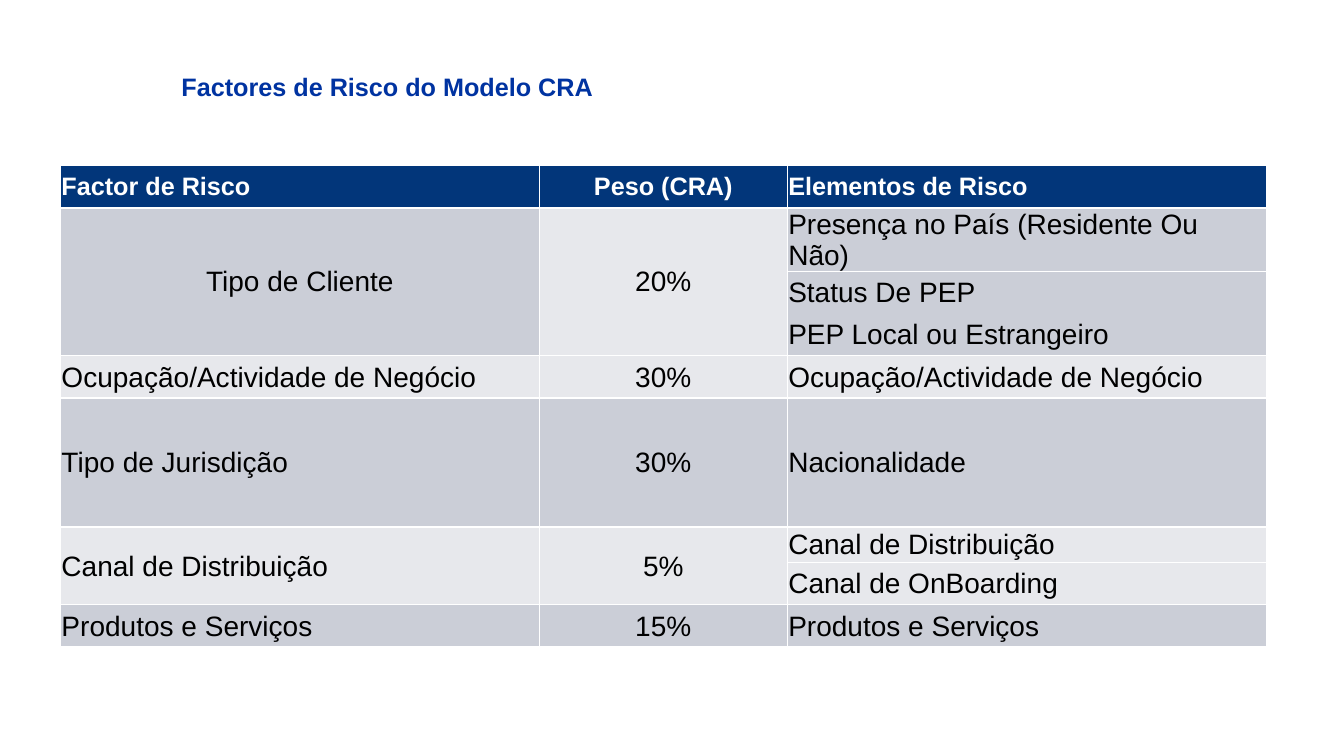
from dataclasses import dataclass

from lxml.etree import SubElement
from pptx import Presentation
from pptx.dml.color import RGBColor
from pptx.enum.text import MSO_ANCHOR as Anchor, PP_ALIGN as Align
from pptx.oxml.ns import qn
from pptx.util import Emu, Inches, Pt

COLOURS = {
    "title": "0033A1",
    "header": "02367A",
    "dark": "CBCED7",
    "light": "E7E8EC",
    "white": "FFFFFF",
    "black": "000000",
}
SLIDE_WIDTH, SLIDE_HEIGHT = Inches(13.33), Inches(7.5)
COLUMN_SHARES = (0.3563, 0.1845, 0.3563)
ROW_SHARE = 0.056
HEADINGS = ("Factor de Risco", "Peso (CRA)", "Elementos de Risco")
HEADER_FONT = {"name": "Arial", "size": Pt(18), "bold": True}
BODY_FONT = {"name": "Arial", "size": Pt(20), "bold": False}
CELL_FORMAT = {
    "vertical_anchor": Anchor.MIDDLE,
    "margin_left": Inches(0.01),
    "margin_top": Inches(0.01),
    "margin_right": Inches(0.01),
    "margin_bottom": 0,
}
GRID = {"L": 1, "R": 1, "T": 1, "B": 1}


@dataclass
class Element:
    name: str
    height: float = ROW_SHARE
    open_sides: str = ""


@dataclass
class Factor:
    name: str
    weight: str
    elements: list[Element]
    name_align: Align = Align.LEFT
    weight_fill: str = ""


FACTORS = [
    Factor("Tipo de Cliente", "20%", [
        Element("Presença no País (Residente Ou Não)"),
        Element("Status De PEP", open_sides="RB"),
        Element("PEP Local ou Estrangeiro", open_sides="RT"),
    ], Align.CENTER, "light"),
    Factor("Ocupação/Actividade de Negócio", "30%",
           [Element("Ocupação/Actividade de Negócio")]),
    Factor("Tipo de Jurisdição", "30%",
           [Element("Nacionalidade", 0.1707, "R")]),
    Factor("Canal de Distribuição", "5%", [
        Element("Canal de Distribuição", 0.0467),
        Element("Canal de OnBoarding"),
    ]),
    Factor("Produtos e Serviços", "15%", [Element("Produtos e Serviços")]),
]


def across(share: float) -> Emu:
    return Emu(round(SLIDE_WIDTH * share))


def down(share: float) -> Emu:
    return Emu(round(SLIDE_HEIGHT * share))


def apply(target, values: dict) -> None:
    for attribute, value in values.items():
        setattr(target, attribute, value)


def write(frame, text: str, font: dict, colour: str, align: Align) -> None:
    paragraph = frame.paragraphs[0]
    paragraph.alignment = align
    run = paragraph.add_run()
    run.text = text
    apply(run.font, font)
    run.font.color.rgb = RGBColor.from_string(COLOURS[colour])


def style_cell(cell, fill: str, borders: dict) -> None:
    """Fill a cell and rule its sides; a side of width 0 stays open."""
    apply(cell, CELL_FORMAT)
    properties = cell._tc.get_or_add_tcPr()
    for side, width in borders.items():
        line = SubElement(properties, qn(f"a:ln{side}"), w=str(Pt(width)))
        if width:
            solid = SubElement(line, qn("a:solidFill"))
            SubElement(solid, qn("a:srgbClr"), val=COLOURS["white"])
        else:
            SubElement(line, qn("a:noFill"))
    cell.fill.solid()
    cell.fill.fore_color.rgb = RGBColor.from_string(COLOURS[fill])


def add_title(slide) -> None:
    title = slide.shapes.title
    apply(title, {"left": across(0.1275), "top": down(0.0867),
                  "width": across(0.74), "height": down(0.0547)})
    apply(title.text_frame, {"word_wrap": True, "vertical_anchor": Anchor.MIDDLE})
    write(title.text_frame, "Factores de Risco do Modelo CRA",
          HEADER_FONT, "title", Align.LEFT)


def add_factor(table, first: int, factor: Factor, shade: str) -> None:
    last = first + len(factor.elements) - 1
    fills = (shade, factor.weight_fill or shade, shade)
    for row, element in enumerate(factor.elements, first):
        table.rows[row].height = down(element.height)
        for column, fill in enumerate(fills):
            borders = dict(GRID)
            if column == 2:
                borders |= dict.fromkeys(element.open_sides, 0)
            if row == 1:
                borders["T"] = 1.5
            style_cell(table.cell(row, column), fill, borders)
        write(table.cell(row, 2).text_frame, element.name,
              BODY_FONT, "black", Align.LEFT)

    # Name and weight cover all of the factor's elements
    labels = ((factor.name, factor.name_align), (factor.weight, Align.CENTER))
    for column, (text, align) in enumerate(labels):
        cell = table.cell(first, column)
        if last > first:
            cell.merge(table.cell(last, column))
        write(cell.text_frame, text, BODY_FONT, "black", align)


def add_risk_table(slide) -> None:
    row_count = 1 + sum(len(factor.elements) for factor in FACTORS)
    table = slide.shapes.add_table(
        row_count, len(HEADINGS), across(0.045), down(0.2187),
        across(sum(COLUMN_SHARES)), down(ROW_SHARE * row_count)).table
    for column, share in zip(table.columns, COLUMN_SHARES):
        column.width = across(share)

    # Header row
    table.rows[0].height = down(ROW_SHARE)
    for column, heading in enumerate(HEADINGS):
        cell = table.cell(0, column)
        style_cell(cell, "header", GRID | {"B": 1.5})
        write(cell.text_frame, heading, HEADER_FONT, "white",
              Align.CENTER if column == 1 else Align.LEFT)

    # Factors in alternating shades
    row = 1
    for index, factor in enumerate(FACTORS):
        add_factor(table, row, factor, "light" if index % 2 else "dark")
        row += len(factor.elements)


def main() -> None:
    deck = Presentation()
    apply(deck, {"slide_width": SLIDE_WIDTH, "slide_height": SLIDE_HEIGHT})
    slide = deck.slides.add_slide(deck.slide_layouts[5])
    add_title(slide)
    add_risk_table(slide)
    deck.save("out.pptx")


if __name__ == "__main__":
    main()
